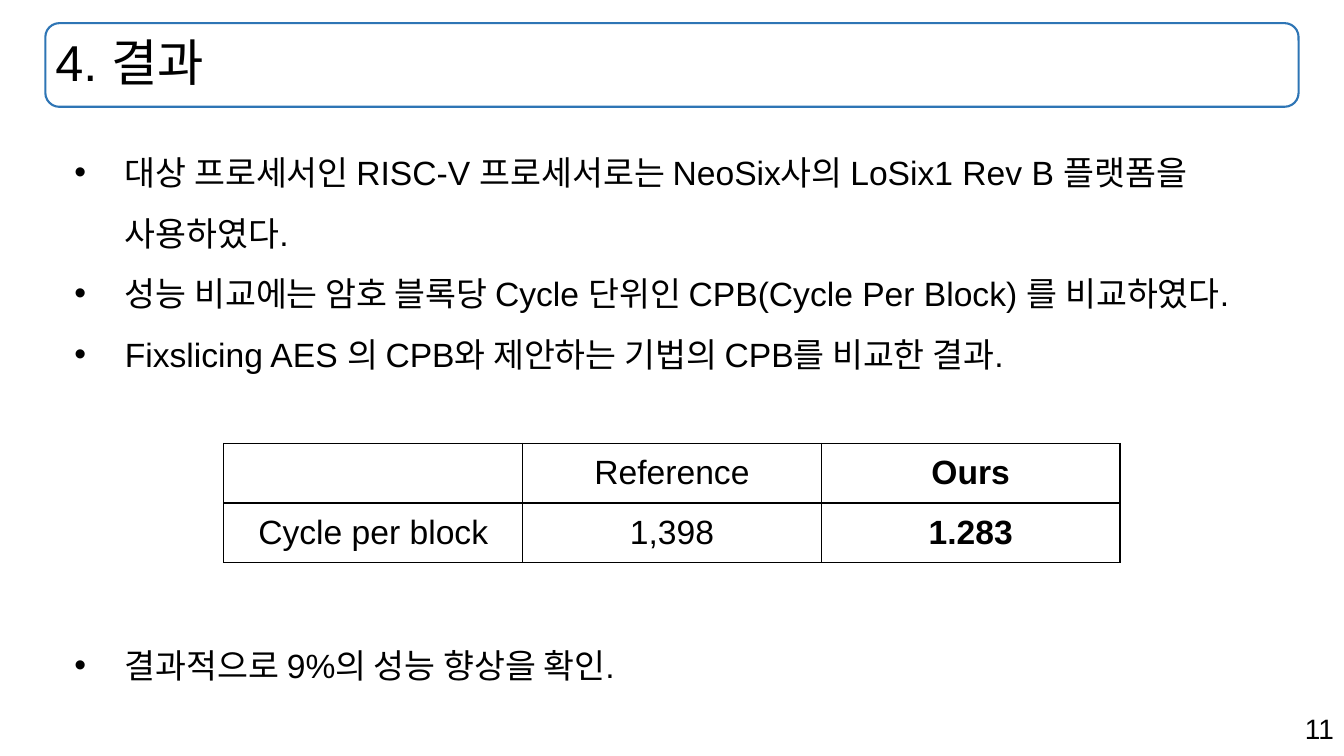
import pptx
import pptx.util
import pptx.dml.color
import pptx.enum.shapes
import pptx.enum.text
import pptx.oxml

Inches = pptx.util.Inches
Pt = pptx.util.Pt
RGBColor = pptx.dml.color.RGBColor
ALIGN = pptx.enum.text.PP_ALIGN
ANCHOR = pptx.enum.text.MSO_ANCHOR

BLACK = RGBColor(0x00, 0x00, 0x00)
FRAME_BLUE = RGBColor(0x2E, 0x75, 0xB5)
NAMESPACE = 'xmlns:a="http://schemas.openxmlformats.org/drawingml/2006/main"'

BULLETS = [
    "대상 프로세서인 RISC-V 프로세서로는 NeoSix사의 LoSix1 Rev B 플랫폼을 사용하였다.",
    "성능 비교에는 암호 블록당 Cycle 단위인 CPB(Cycle Per Block) 를 비교하였다.",
    "Fixslicing AES 의 CPB와 제안하는 기법의 CPB를 비교한 결과.",
    "결과적으로 9%의 성능 향상을 확인.",
]
RESULTS = [["", "Reference", "Ours"], ["Cycle per block", "1,398", "1.283"]]


def apply_format(target, values):
    for name, value in values.items():
        setattr(target, name, value)


def format_paragraph(paragraph, size, bold=False, **layout):
    apply_format(paragraph, layout)
    apply_format(paragraph.font, {"name": "Arial", "size": Pt(size), "bold": bold})
    paragraph.font.color.rgb = BLACK


def add_title(slide, text, left, top, width, height):
    box = [Inches(length) for length in (left, top, width, height)]
    frame = slide.shapes.add_shape(pptx.enum.shapes.MSO_SHAPE.ROUNDED_RECTANGLE, *box)
    frame.shadow.inherit = False
    frame.fill.background()
    frame.line.color.rgb = FRAME_BLUE
    frame.line.width = Pt(1.5)
    title = slide.shapes.title
    apply_format(title, dict(zip(("left", "top", "width", "height"), box)))
    title.text_frame.text = text
    apply_format(title.text_frame, {
        "word_wrap": True,
        "vertical_anchor": ANCHOR.MIDDLE,
        "auto_size": pptx.enum.text.MSO_AUTO_SIZE.NONE,
    })
    format_paragraph(title.text_frame.paragraphs[0], 36,
                     alignment=ALIGN.LEFT, line_spacing=0.9)


def add_bullets(slide, texts, conclusion_gap, left, top, width, height):
    box = slide.shapes.add_textbox(Inches(left), Inches(top), Inches(width), Inches(height))
    text_frame = box.text_frame
    text_frame.word_wrap = True
    text_frame.text = "\n".join(texts)
    for paragraph in text_frame.paragraphs:
        properties = paragraph._p.get_or_add_pPr()
        properties.set("marL", str(Inches(0.69)))
        properties.set("indent", str(Inches(-0.5)))
        for bullet in ('buFont {} typeface="Arial"', 'buChar {} char="•"'):
            properties.append(pptx.oxml.parse_xml(f"<a:{bullet.format(NAMESPACE)}/>"))
        format_paragraph(paragraph, 24, line_spacing=1.5)
    text_frame.paragraphs[-1].space_before = Pt(conclusion_gap)


def add_borders(cell):
    properties = cell._tc.get_or_add_tcPr()
    for position, side in enumerate(("lnL", "lnR", "lnT", "lnB")):
        properties.insert(position, pptx.oxml.parse_xml(
            f'<a:{side} {NAMESPACE} w="{Pt(1)}"><a:solidFill>'
            f'<a:srgbClr val="{BLACK}"/></a:solidFill></a:{side}>'))


def add_results(slide, rows, left, top, width, height):
    table = slide.shapes.add_table(
        len(rows), len(rows[0]),
        Inches(left), Inches(top), Inches(width), Inches(height)).table
    apply_format(table, {"first_row": False, "horz_banding": False})
    for row_index, row in enumerate(rows):
        for column_index, text in enumerate(row):
            cell = table.cell(row_index, column_index)
            cell.text = text
            cell.vertical_anchor = ANCHOR.MIDDLE
            cell.fill.background()
            add_borders(cell)
            format_paragraph(cell.text_frame.paragraphs[0], 24,
                             bold=column_index == len(row) - 1, alignment=ALIGN.CENTER)


def add_page_number(slide, number, left, top, width, height):
    box = slide.shapes.add_textbox(Inches(left), Inches(top), Inches(width), Inches(height))
    box.text_frame.word_wrap = True
    box.text_frame.text = str(number)
    format_paragraph(box.text_frame.paragraphs[0], 20, alignment=ALIGN.RIGHT)


def main():
    presentation = pptx.Presentation()
    apply_format(presentation, {"slide_width": Inches(13.33), "slide_height": Inches(7.5)})
    slide = presentation.slides.add_slide(presentation.slide_layouts[5])
    add_page_number(slide, 11, 9.43, 7.01, 3.9, 0.44)
    add_title(slide, "4. 결과", 0.45, 0.23, 12.43, 0.83)
    add_bullets(slide, BULLETS, 179, 0.45, 1.26, 12.43, 5.71)
    add_results(slide, RESULTS, 2.22, 4.4, 8.89, 1.18)
    presentation.save("out.pptx")


if __name__ == "__main__":
    main()
